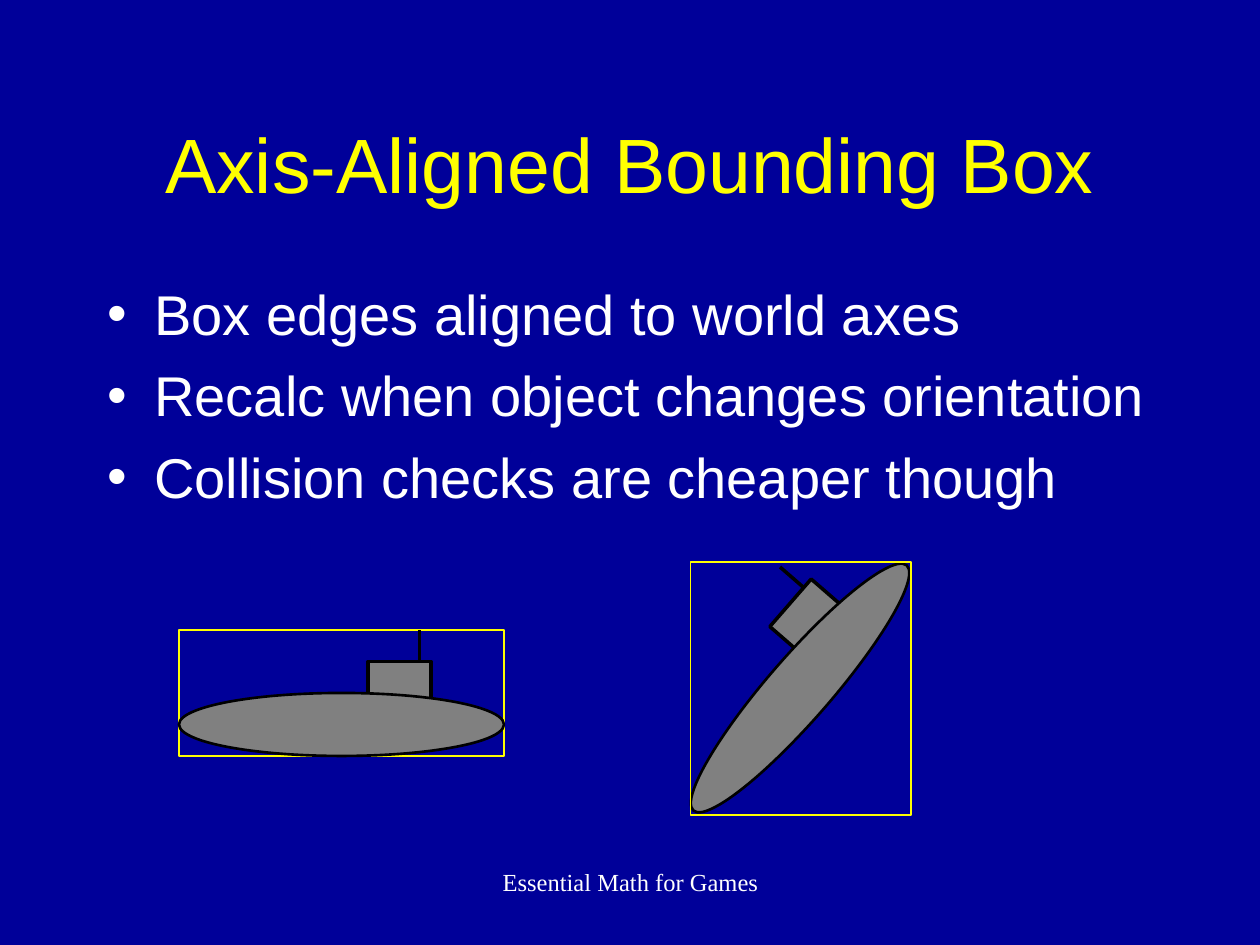
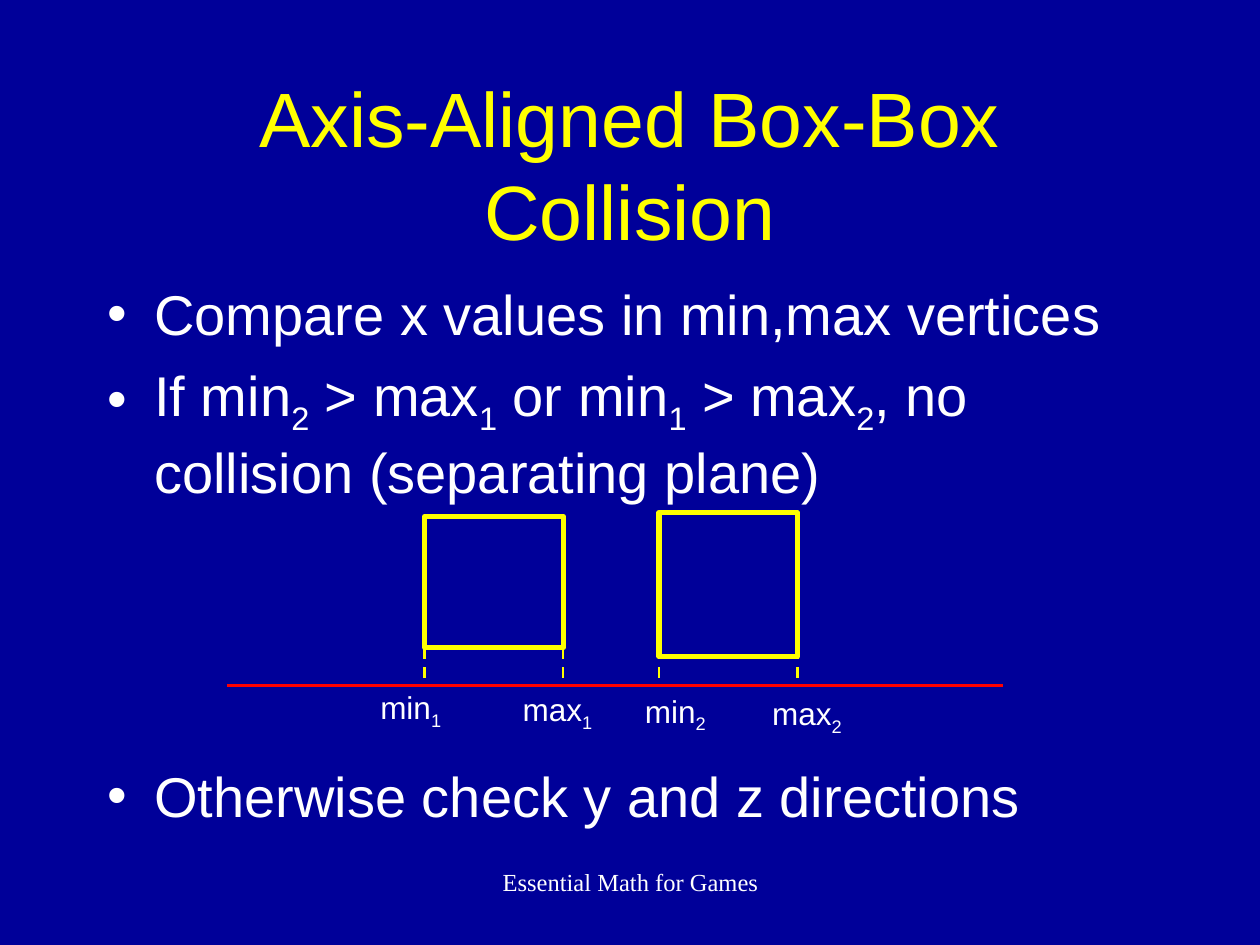
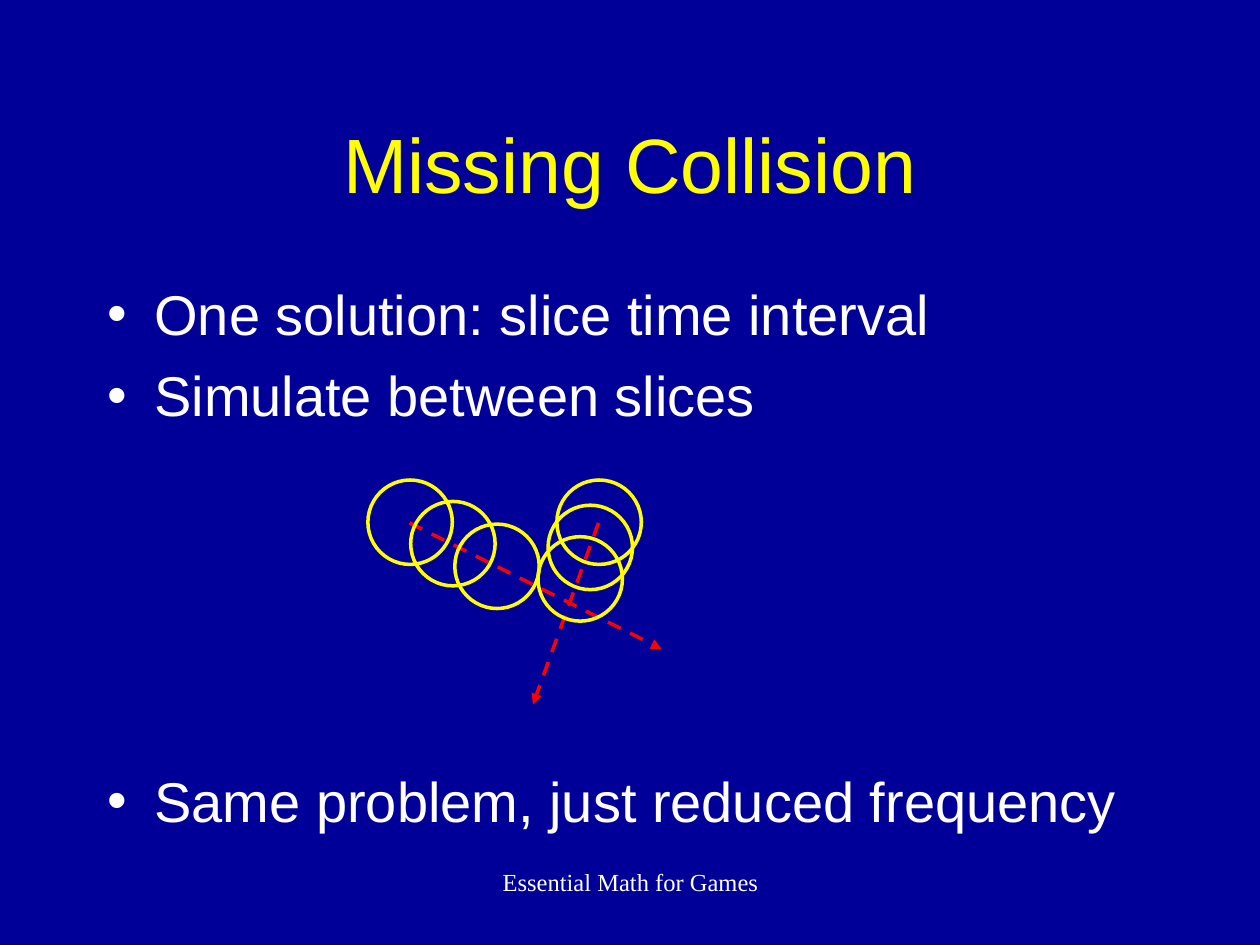
from math import cos, radians, sin

from lxml.etree import SubElement
from pptx import Presentation
from pptx.dml.color import RGBColor
from pptx.enum.dml import MSO_LINE
from pptx.enum.shapes import MSO_CONNECTOR, MSO_SHAPE
from pptx.enum.text import MSO_ANCHOR, MSO_AUTO_SIZE, PP_ALIGN
from pptx.oxml.ns import qn
from pptx.util import Inches, Pt

COLORS = {
    "background": "000099",
    "title": "FFFF00",
    "text": "FFFFFF",
    "outline": "FFFF00",
    "axis": "FF0000",
    "hull": "808080",
    "ink": "000000",
}
HEADING_FONT, FOOTER_FONT = "Arial", "Times New Roman"
FOOTER = "Essential Math for Games"
TITLE_AREA = (0.75, 0.67, 8.5, 1.25)
BODY_AREA = (0.75, 2.17, 8.5, 4.5)
FOOTER_AREA = (3.42, 6.83, 3.17, 0.5)
BULLET_SPACE, BULLET_PITCH = 8, 46.3

ALIGNED_BOX = {
    "title": "Axis-Aligned Bounding Box",
    "bullets": [
        ("Box edges aligned to world axes", 0),
        ("Recalc when object changes orientation", 0),
        ("Collision checks are cheaper though", 0),
    ],
}
BOX_COLLISION = {
    "title": "Axis-Aligned Box-Box Collision",
    "bullets": [
        ("Compare x values in min,max vertices", 0),
        ("If min_2 > max_1 or min_1 > max_2, no collision (separating plane)", 0),
        ("Otherwise check y and z directions", 3),
    ],
}
MISSING_COLLISION = {
    "title": "Missing Collision",
    "bullets": [
        ("One solution: slice time interval", 0),
        ("Simulate between slices", 0),
        ("Same problem, just reduced frequency", 4),
    ],
}

HULL_SIZE = (2.58, 0.5)
MAST = [(0.62, -0.75), (0.62, -0.33)]
TOWER = [(0.21, -0.25), (0.21, -0.5), (0.71, -0.5), (0.71, -0.17), (0.21, -0.17)]
LEVEL_SUBMARINE = {"center": (2.71, 5.75), "angle": 0}
TILTED_SUBMARINE = {"center": (6.35, 5.46), "angle": 311}
LEVEL_BOUNDS = (1.42, 5, 2.58, 1)
TILTED_BOUNDS = (5.48, 4.46, 1.75, 2.01)

AXIS_Y, AXIS_START, AXIS_END = 5.44, 1.8, 7.96
TICK_TOP = 5.15
COMPARED_BOXES = [(3.37, 4.1, 1.1, 1.04), (5.23, 4.07, 1.1, 1.14)]
AXIS_LABELS = [
    ("min_1", 2.92, 5.41),
    ("max_1", 4.05, 5.43),
    ("min_2", 5.02, 5.44),
    ("max_2", 6.03, 5.46),
]
LABEL_SIZE = (0.9, 0.44)

BALL_SIZE = 0.67
FIRST_BALLS = [(2.92, 3.81), (4.42, 3.81)]
BALL_PATHS = [((4.75, 4.15), (4.23, 5.59)), ((3.25, 4.15), (5.25, 5.15))]
LATER_BALLS = [(3.26, 3.98), (3.61, 4.16), (4.35, 4.01), (4.27, 4.26)]


def color(name):
    return RGBColor.from_string(COLORS[name])


def place(shape, area):
    shape.left, shape.top, shape.width, shape.height = map(Inches, area)


def write(paragraph, text, size, color_name, font=HEADING_FONT):
    head, *tails = text.split("_")
    pieces = [(head, False)]
    for tail in tails:
        pieces += [(tail[0], True), (tail[1:], False)]
    for piece, is_subscript in pieces:
        if not piece:
            continue
        run = paragraph.add_run()
        run.text = piece
        run.font.name = font
        run.font.size = Pt(size)
        run.font.color.rgb = color(color_name)
        if is_subscript:
            run._r.get_or_add_rPr().set("baseline", "-25000")


def add_label(slide, text, area, size, font, space_before, alignment):
    frame = slide.shapes.add_textbox(*map(Inches, area)).text_frame
    frame.word_wrap = True
    paragraph = frame.paragraphs[0]
    paragraph.alignment = alignment
    paragraph.space_before = Pt(space_before)
    write(paragraph, text, size, "text", font)


def style_outline(shape, line_color, width, fill=None):
    shape.shadow.inherit = False
    shape.line.color.rgb = color(line_color)
    shape.line.width = Pt(width)
    if fill:
        shape.fill.solid()
        shape.fill.fore_color.rgb = color(fill)
    else:
        shape.fill.background()


def add_outline(slide, kind, area, width, line_color="outline", fill=None):
    shape = slide.shapes.add_shape(kind, *map(Inches, area))
    style_outline(shape, line_color, width, fill)
    return shape


def add_line(slide, start, end, line_color, width, dashed=False, arrow=False):
    connector = slide.shapes.add_connector(
        MSO_CONNECTOR.STRAIGHT, *map(Inches, (*start, *end)))
    connector.line.color.rgb = color(line_color)
    connector.line.width = Pt(width)
    if dashed:
        connector.line.dash_style = MSO_LINE.DASH
    if arrow:
        SubElement(connector.line._get_or_add_ln(), qn("a:tailEnd"), type="triangle")
    SubElement(connector._element.spPr, qn("a:effectLst"))


def add_base_slide(presentation, content):
    slide = presentation.slides.add_slide(presentation.slide_layouts[1])
    title, body = slide.placeholders
    for placeholder, area, anchor in (
            (title, TITLE_AREA, MSO_ANCHOR.MIDDLE), (body, BODY_AREA, MSO_ANCHOR.TOP)):
        place(placeholder, area)
        placeholder.text_frame.auto_size = MSO_AUTO_SIZE.NONE
        placeholder.text_frame.vertical_anchor = anchor
    write(title.text_frame.paragraphs[0], content["title"], 44, "title")
    for index, (text, skipped_rows) in enumerate(content["bullets"]):
        frame = body.text_frame
        paragraph = frame.add_paragraph() if index else frame.paragraphs[0]
        paragraph.space_before = Pt(BULLET_SPACE + skipped_rows * BULLET_PITCH)
        write(paragraph, text, 32, "text")
    add_label(slide, FOOTER, FOOTER_AREA, 14, FOOTER_FONT, 8.8, PP_ALIGN.CENTER)
    return slide


def add_submarine(slide, center, angle):
    cosine, sine = cos(radians(angle)), sin(radians(angle))
    center_x, center_y = center

    def turn(point):
        x, y = point
        return center_x + x * cosine - y * sine, center_y + x * sine + y * cosine

    add_line(slide, *map(turn, MAST), "ink", 2)
    corners = [tuple(map(Inches, turn(point))) for point in TOWER]
    builder = slide.shapes.build_freeform(*corners[0])
    builder.add_line_segments(corners[1:], close=False)
    style_outline(builder.convert_to_shape(), "ink", 2, "hull")
    width, height = HULL_SIZE
    hull_area = (center_x - width / 2, center_y - height / 2, width, height)
    hull = add_outline(slide, MSO_SHAPE.OVAL, hull_area, 1.5, "ink", "hull")
    hull.rotation = angle


def draw_bounding_boxes(slide):
    add_outline(slide, MSO_SHAPE.RECTANGLE, LEVEL_BOUNDS, 1)
    add_submarine(slide, **LEVEL_SUBMARINE)
    add_submarine(slide, **TILTED_SUBMARINE)
    add_outline(slide, MSO_SHAPE.RECTANGLE, TILTED_BOUNDS, 1)


def draw_axis_comparison(slide):
    for box in COMPARED_BOXES:
        add_outline(slide, MSO_SHAPE.RECTANGLE, box, 3)
    for text, left, top in AXIS_LABELS:
        add_label(slide, text, (left, top, *LABEL_SIZE), 18, HEADING_FONT, 11.2,
                  PP_ALIGN.LEFT)
    add_line(slide, (AXIS_START, AXIS_Y), (AXIS_END, AXIS_Y), "axis", 1.5)
    for left, top, width, height in COMPARED_BOXES:
        for edge in (left, left + width):
            add_line(slide, (edge, TICK_TOP), (edge, AXIS_Y), "outline", 1.5, dashed=True)


def draw_time_slices(slide):
    def add_balls(positions):
        for left, top in positions:
            add_outline(slide, MSO_SHAPE.OVAL, (left, top, BALL_SIZE, BALL_SIZE), 2)

    add_balls(FIRST_BALLS)
    for start, end in BALL_PATHS:
        add_line(slide, start, end, "axis", 2, dashed=True, arrow=True)
    add_balls(LATER_BALLS)


def main():
    presentation = Presentation()
    presentation.slide_width, presentation.slide_height = Inches(10), Inches(7.5)
    background = presentation.slide_master.background.fill
    background.solid()
    background.fore_color.rgb = color("background")
    for content, draw in (
            (ALIGNED_BOX, draw_bounding_boxes),
            (BOX_COLLISION, draw_axis_comparison),
            (MISSING_COLLISION, draw_time_slices)):
        draw(add_base_slide(presentation, content))
    presentation.save("out.pptx")


if __name__ == "__main__":
    main()
